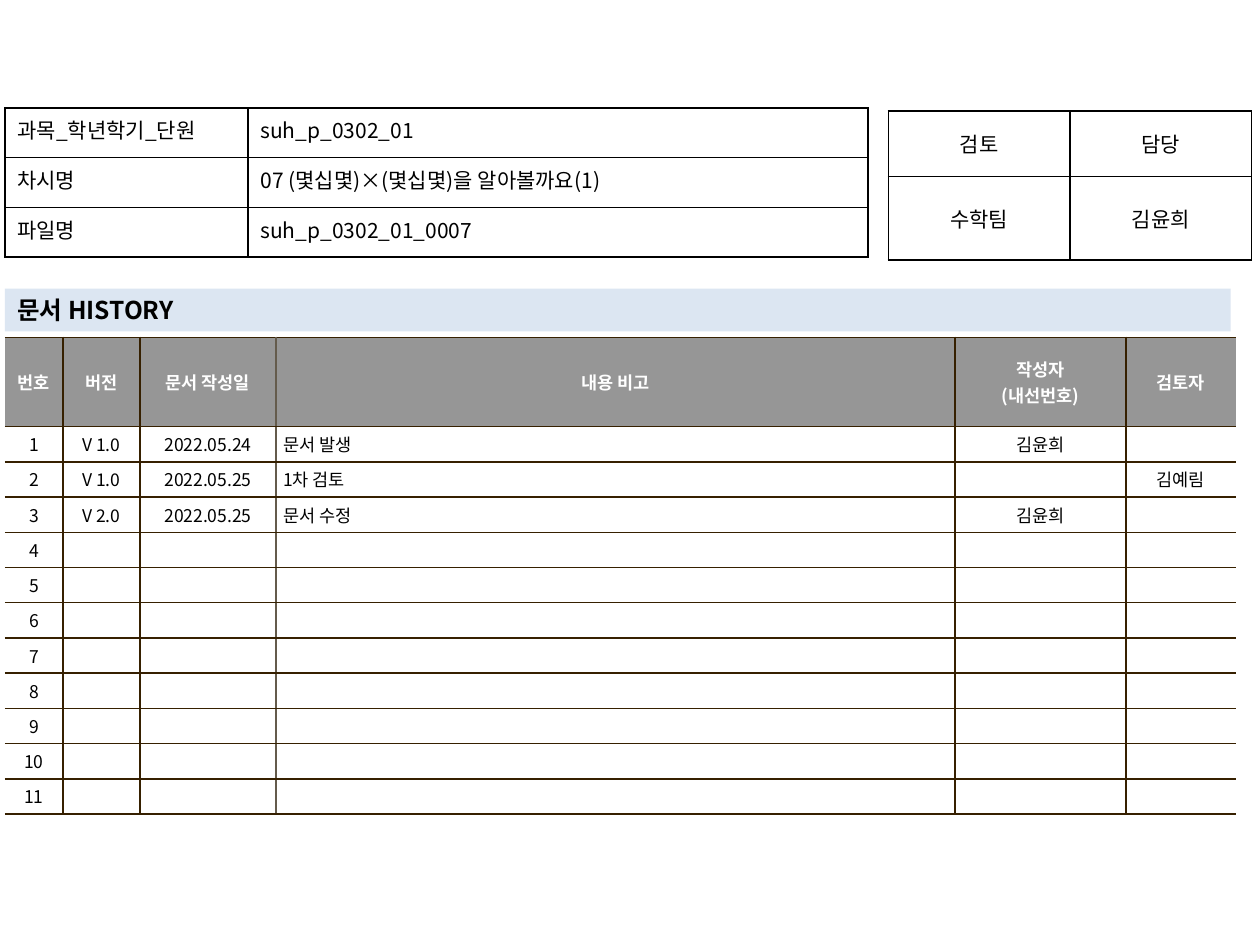
import pptx
import pptx.dml.color
import pptx.enum.shapes
import pptx.enum.text
import pptx.util
from lxml import etree
from pptx.oxml.ns import qn

Cm = pptx.util.Cm
Pt = pptx.util.Pt
RGBColor = pptx.dml.color.RGBColor
ALIGN = pptx.enum.text.PP_ALIGN
ANCHOR = pptx.enum.text.MSO_ANCHOR

FONT = "Noto Sans CJK KR"
BLACK = RGBColor(0x00, 0x00, 0x00)
WHITE = RGBColor(0xFF, 0xFF, 0xFF)
GREY = RGBColor(0x96, 0x96, 0x96)
PALE_BLUE = RGBColor(0xDC, 0xE6, 0xF2)
BROWN = RGBColor(0x36, 0x20, 0x00)
TAUPE = RGBColor(0x64, 0x5B, 0x4C)

HISTORY = [
    ["번호", "버전", "문서 작성일", "내용 비고", "작성자\n(내선번호)", "검토자"],
    ["1", "V 1.0", "2022.05.24", "문서 발생", "김윤희", ""],
    ["2", "V 1.0", "2022.05.25", "1차 검토", "", "김예림"],
    ["3", "V 2.0", "2022.05.25", "문서 수정", "김윤희", ""],
] + [[str(n), "", "", "", "", ""] for n in range(4, 12)]
DATE_COL, NOTE_COL, LAST_COL = 2, 3, 5


class SlideBuilder:
    def __init__(self, slide, font):
        self.slide = slide
        self.font = font

    def text(self, tf, text, size, color=BLACK, bold=False, align=ALIGN.LEFT):
        tf.text = text
        for p in tf.paragraphs:
            p.alignment = align
            for r in p.runs:
                r.font.name = self.font
                r.font.size = Pt(size)
                r.font.bold = bold
                r.font.color.rgb = color
                ea = etree.SubElement(r.font._element, qn("a:ea"))
                ea.set("typeface", self.font)
            if not p.runs:
                end = etree.SubElement(p._p, qn("a:endParaRPr"))
                end.set("sz", str(size * 100))

    def banner(self, x, y, w, h, text, size, fill):
        sp = self.slide.shapes.add_shape(
            pptx.enum.shapes.MSO_SHAPE.RECTANGLE, Cm(x), Cm(y), Cm(w), Cm(h))
        sp.shadow.inherit = False
        sp.fill.solid()
        sp.fill.fore_color.rgb = fill
        sp.line.fill.background()
        sp.text_frame.vertical_anchor = ANCHOR.MIDDLE
        self.text(sp.text_frame, text, size, bold=True)

    def table(self, x, y, cols, rows):
        frame = self.slide.shapes.add_table(
            len(rows), len(cols), Cm(x), Cm(y), Cm(sum(cols)), Cm(sum(rows)))
        table = frame.table
        table.first_row = table.horz_banding = False
        for column, width in zip(table.columns, cols):
            column.width = Cm(width)
        for row, height in zip(table.rows, rows):
            row.height = Cm(height)
        return table

    def cell(self, cell, text, size, fill=None, anchor=ANCHOR.MIDDLE,
             margins=(0.25, 0.13), borders=(BLACK,) * 4, **style):
        self.text(cell.text_frame, text, size, **style)
        cell.vertical_anchor = anchor
        cell.margin_left = cell.margin_right = Cm(margins[0])
        cell.margin_top = cell.margin_bottom = Cm(margins[1])
        tc_pr = cell._tc.get_or_add_tcPr()
        for side, color in zip("LRTB", borders):
            ln = etree.SubElement(tc_pr, qn("a:ln" + side), w=str(Pt(1)))
            if color is None:
                etree.SubElement(ln, qn("a:noFill"))
            else:
                solid = etree.SubElement(ln, qn("a:solidFill"))
                etree.SubElement(solid, qn("a:srgbClr"), val=str(color))
        if fill is None:
            cell.fill.background()
        else:
            cell.fill.solid()
            cell.fill.fore_color.rgb = fill

    def history(self, x, y, cols, header_height, row_height):
        heights = [header_height] + [row_height] * (len(HISTORY) - 1)
        table = self.table(x, y, cols, heights)
        for i, row in enumerate(HISTORY):
            header = i == 0
            for j, text in enumerate(row):
                left = {0: None, NOTE_COL: TAUPE}.get(j, BROWN)
                right = {LAST_COL: None, DATE_COL: TAUPE}.get(j, BROWN)
                note = j == NOTE_COL and not header
                self.cell(table.cell(i, j), text, 10,
                          fill=GREY if header else WHITE,
                          margins=(0.15, 0.1),
                          borders=(left, right, BROWN, BROWN),
                          color=WHITE if header else BLACK, bold=header,
                          align=ALIGN.LEFT if note else ALIGN.CENTER)

    def grid(self, x, y, cols, heights, rows, aligns, anchor):
        table = self.table(x, y, cols, heights)
        for i, row in enumerate(rows):
            for j, text in enumerate(row):
                self.cell(table.cell(i, j), text, 12, anchor=anchor,
                          align=aligns[j])


def main():
    prs = pptx.Presentation()
    prs.slide_width, prs.slide_height = Cm(25.4), Cm(19.05)
    s = SlideBuilder(prs.slides.add_slide(prs.slide_layouts[6]), FONT)
    s.history(0.1, 6.8, [1.17, 1.55, 2.74, 13.69, 3.45, 2.21], 1.8, 0.71)
    s.grid(17.91, 2.24, [3.66, 3.66], [1.32, 1.68],
           [["검토", "담당"], ["수학팀", "김윤희"]],
           [ALIGN.CENTER, ALIGN.CENTER], ANCHOR.MIDDLE)
    s.banner(0.1, 5.82, 24.71, 0.86, "문서 HISTORY", 14, PALE_BLUE)
    s.grid(0.1, 2.18, [4.9, 12.5], [1, 1, 1],
           [["과목_학년학기_단원", "suh_p_0302_01"],
            ["차시명", "07 (몇십몇)×(몇십몇)을 알아볼까요(1)"],
            ["파일명", "suh_p_0302_01_0007"]],
           [ALIGN.JUSTIFY, ALIGN.LEFT], ANCHOR.TOP)
    prs.save("out.pptx")


if __name__ == "__main__":
    main()
